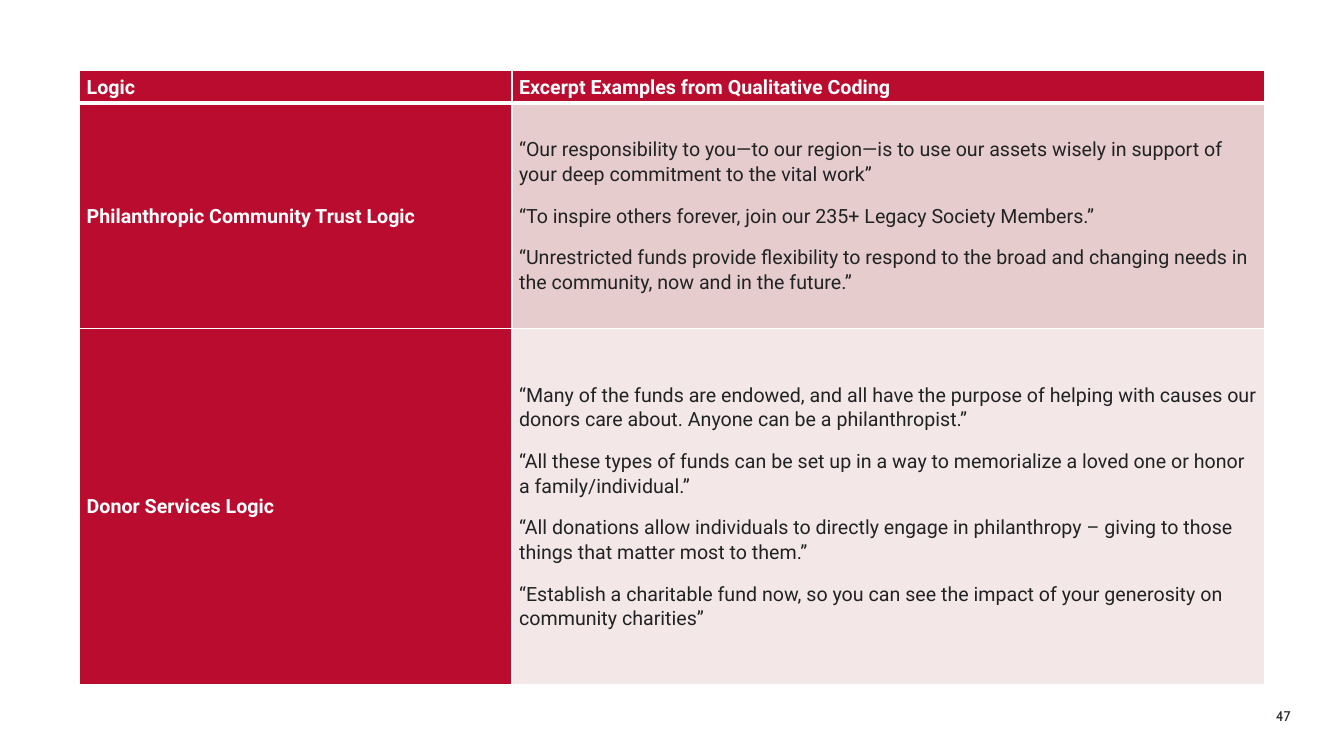
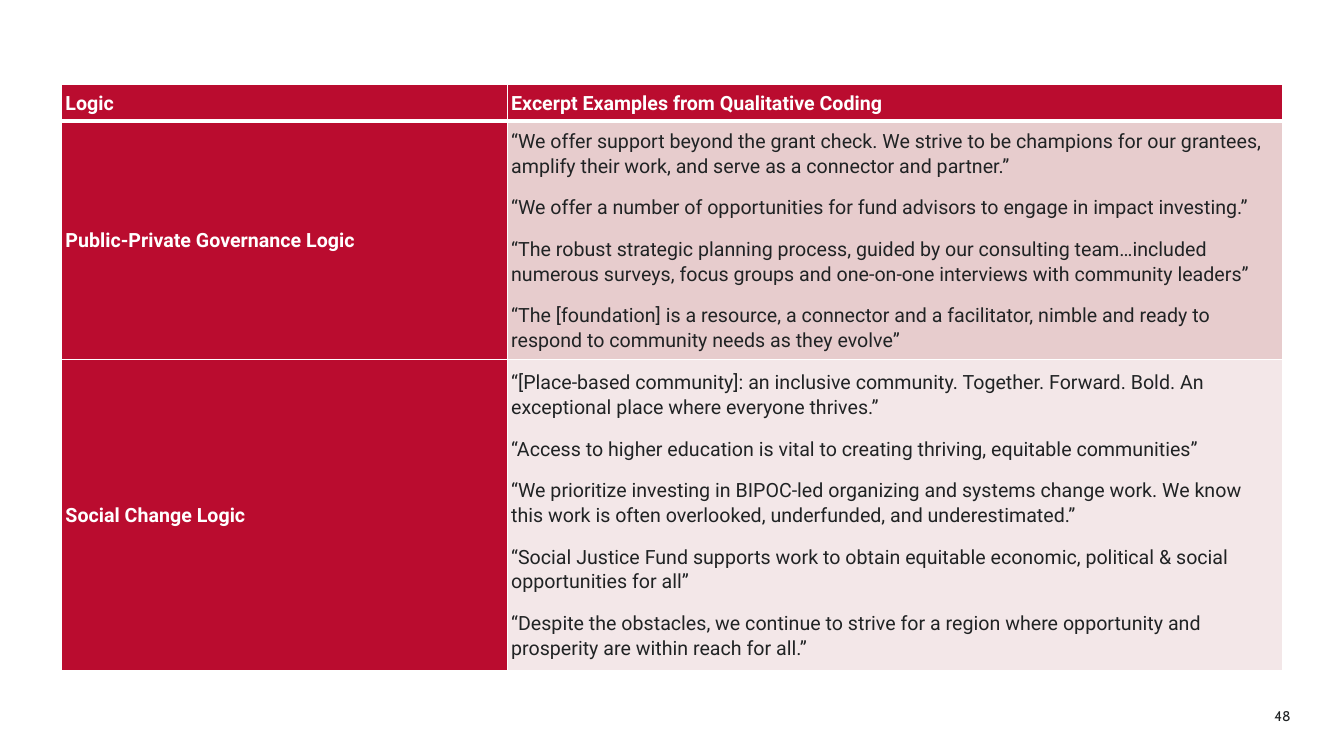
from dataclasses import dataclass

import pptx
import pptx.dml.color
import pptx.enum.text
import pptx.util
from lxml import etree
from pptx.oxml.ns import qn

Inches = pptx.util.Inches
Pt = pptx.util.Pt
ANCHOR = pptx.enum.text.MSO_ANCHOR
ALIGN = pptx.enum.text.PP_ALIGN


@dataclass(frozen=True)
class Theme:
    width: float = 13.33
    height: float = 7.5
    red: str = "BA0C2F"
    white: str = "FFFFFF"
    ink: str = "202324"
    bands: tuple = ("E7CCCD", "F3E7E8")
    font: str = "Roboto"
    number_font: str = "Cabin"
    text_size: float = 14
    number_size: float = 10
    line_spacing: float = 1.07
    quote_gap: float = 12
    thin_rule: float = 1
    header_rule: float = 3
    logic_share: float = 0.365


THEME = Theme()
HEADINGS = ("Logic", ["Excerpt Examples from Qualitative Coding"])
FIRST_PAGE = 47

TABLES = [
    {
        "at": (0.79, 0.7), "width": 11.75, "rows": (0.32, 2.24, 3.53), "inset": 0.07,
        "logics": [
            ("Philanthropic Community Trust Logic", [
                "“Our responsibility to you—to our region—is to use our assets wisely in support of your deep commitment to the vital work”",
                "“To inspire others forever, join our 235+ Legacy Society Members.”",
                "“Unrestricted funds provide flexibility to respond to the broad and changing needs in the community, now and in the future.”",
            ]),
            ("Donor Services Logic", [
                "“Many of the funds are endowed, and all have the purpose of helping with causes our donors care about. Anyone can be a philanthropist.”",
                "“All these types of funds can be set up in a way to memorialize a loved one or honor a family/individual.”",
                "“All donations allow individuals to directly engage in philanthropy – giving to those things that matter most to them.”",
                "“Establish a charitable fund now, so you can see the impact of your generosity on community charities”",
            ]),
        ],
    },
    {
        "at": (0.61, 0.84), "width": 12.11, "rows": (0.36, 2.37, 3.08), "inset": 0.04,
        "logics": [
            ("Public-Private Governance Logic", [
                "“We offer support beyond the grant check. We strive to be champions for our grantees, amplify their work, and serve as a connector and partner.”",
                "“We offer a number of opportunities for fund advisors to engage in impact investing.”",
                "“The robust strategic planning process, guided by our consulting team…included numerous surveys, focus groups and one-on-one interviews with community leaders”",
                "“The [foundation] is a resource, a connector and a facilitator, nimble and ready to respond to community needs as they evolve”",
            ]),
            ("Social Change Logic", [
                "“[Place-based community]: an inclusive community. Together. Forward. Bold. An exceptional place where everyone thrives.”",
                "“Access to higher education is vital to creating thriving, equitable communities”",
                "“We prioritize investing in BIPOC-led organizing and systems change work. We know this work is often overlooked, underfunded, and underestimated.”",
                "“Social Justice Fund supports work to obtain equitable economic, political & social opportunities for all”",
                "“Despite the obstacles, we continue to strive for a region where opportunity and prosperity are within reach for all.”",
            ]),
        ],
    },
]


def rgb(color):
    return pptx.dml.color.RGBColor.from_string(color)


def write(frame, paragraphs, *, color=THEME.ink, bold=False, font=THEME.font,
          size=THEME.text_size, align=ALIGN.LEFT, spacing=THEME.line_spacing):
    for index, text in enumerate(paragraphs):
        para = frame.add_paragraph() if index else frame.paragraphs[0]
        para.alignment = align
        para.line_spacing = spacing
        if index:
            para.space_before = Pt(THEME.quote_gap)
        span = para.add_run()
        span.text = text
        span.font.name = font
        span.font.size = Pt(size)
        span.font.bold = bold
        span.font.color.rgb = rgb(color)


def set_borders(cell, top, bottom):
    """Rule the cell in white; top and bottom are line widths in points."""
    properties = cell._tc.get_or_add_tcPr()
    widths = {"a:lnL": THEME.thin_rule, "a:lnR": THEME.thin_rule, "a:lnT": top, "a:lnB": bottom}
    for tag, width in widths.items():
        line = etree.SubElement(properties, qn(tag), w=str(Pt(width)))
        fill = etree.SubElement(line, qn("a:solidFill"))
        etree.SubElement(fill, qn("a:srgbClr"), val=THEME.white)


def fill_cell(cell, paragraphs, *, fill, inset, top, bottom, **text_format):
    cell.margin_left = cell.margin_right = Inches(inset)
    cell.margin_top = cell.margin_bottom = 0
    cell.vertical_anchor = ANCHOR.MIDDLE
    set_borders(cell, top, bottom)
    cell.fill.solid()
    cell.fill.fore_color.rgb = rgb(fill)
    write(cell.text_frame, paragraphs, **text_format)


def add_logic_table(page, at, width, rows, inset, logics):
    left, top = at
    table = page.shapes.add_table(len(rows), 2, Inches(left), Inches(top),
                                  Inches(width), Inches(sum(rows))).table
    table.horz_banding = False
    for column, share in zip(table.columns, (THEME.logic_share, 1 - THEME.logic_share)):
        column.width = Inches(width * share)
    for row, height in zip(table.rows, rows):
        row.height = Inches(height)

    label = {"fill": THEME.red, "color": THEME.white, "bold": True}
    quote_styles = [label] + [{"fill": band} for band in THEME.bands]
    for index, (logic, quotes) in enumerate([HEADINGS, *logics]):
        edges = {
            "inset": inset,
            "top": THEME.header_rule if index == 1 else THEME.thin_rule,
            "bottom": THEME.header_rule if index == 0 else THEME.thin_rule,
        }
        fill_cell(table.cell(index, 0), [logic], **edges, **label)
        fill_cell(table.cell(index, 1), quotes, **edges, **quote_styles[index])


def add_page_number(page, number):
    box = page.shapes.add_textbox(Inches(12.36), Inches(6.9), Inches(0.54), Inches(0.4))
    frame = box.text_frame
    frame.word_wrap = True
    frame.vertical_anchor = ANCHOR.MIDDLE
    write(frame, [str(number)], font=THEME.number_font, size=THEME.number_size,
          align=ALIGN.RIGHT, spacing=1.0)


def main():
    deck = pptx.Presentation()
    deck.slide_width = Inches(THEME.width)
    deck.slide_height = Inches(THEME.height)
    blank = deck.slide_layouts.get_by_name("Blank")
    for number, content in enumerate(TABLES, FIRST_PAGE):
        page = deck.slides.add_slide(blank)
        add_page_number(page, number)
        add_logic_table(page, **content)
    deck.save("out.pptx")


if __name__ == "__main__":
    main()
